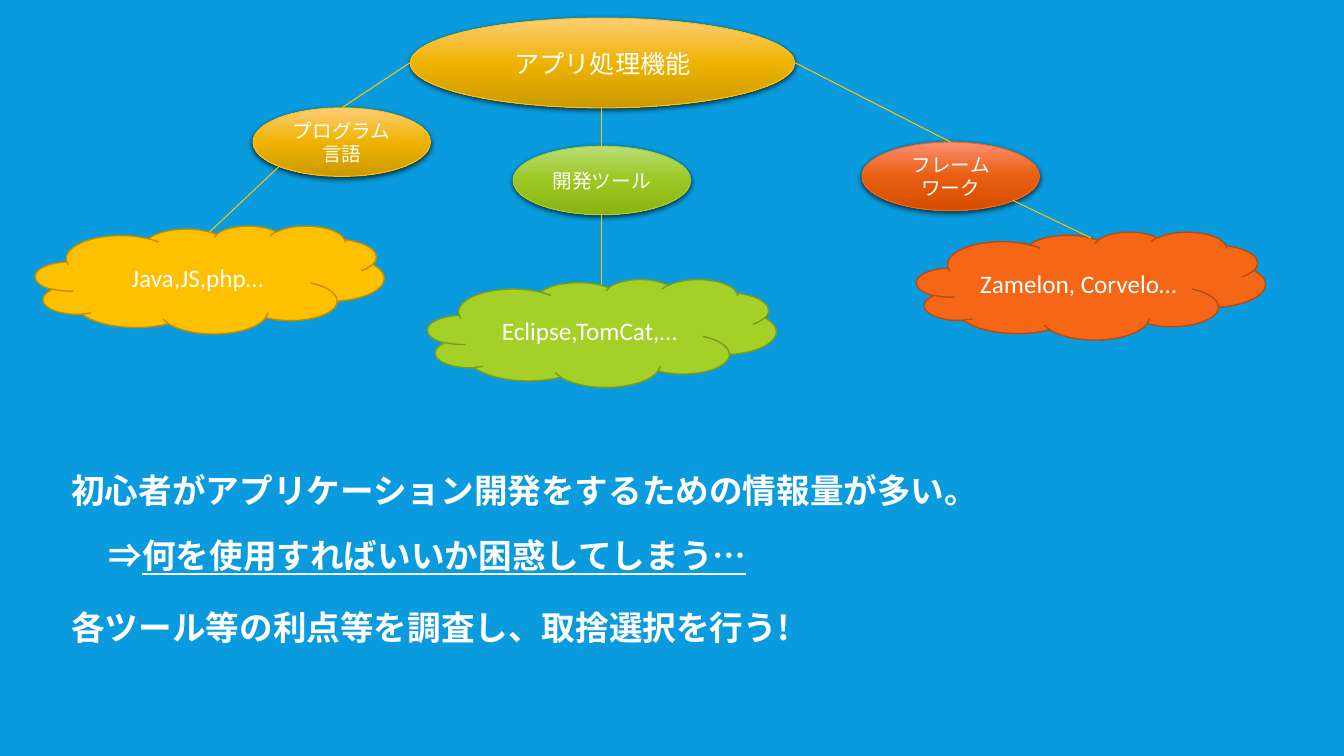
from lxml import etree
from pptx import Presentation
from pptx import util as u
from pptx.dml.color import RGBColor
from pptx.enum import lang, shapes, text
from pptx.oxml import ns

OVAL = shapes.MSO_SHAPE.OVAL
CLOUD = shapes.MSO_SHAPE.CLOUD
GOLD = ("FFCE77", "EEB300", "CC9A00")
GREEN = ("BADD75", "9CC621", "8BB413")
RED = ("FB9074", "E95E10", "D64D01")
LABEL = {"name": "Calibri", "language_id": lang.MSO_LANGUAGE_ID.JAPANESE}
NOTE = {"name": "Noto Sans CJK JP", "size": u.Pt(24), "bold": True,
        "language_id": lang.MSO_LANGUAGE_ID.JAPANESE}


def color(value):
    return RGBColor.from_string(value)


def add_tag(node, tag, **attrs):
    return etree.SubElement(node, ns.qn(tag), attrs)


def style(item, values):
    for key, value in values.items():
        setattr(item, key, value)


def write(para, words, form):
    run = para.add_run()
    run.text = words
    style(run.font, form)
    run.font.color.rgb = color("FFFFFF")
    return run


def add_node(slide, kind, box, words, size, edge, width):
    node = slide.shapes.add_shape(kind, *map(u.Inches, box))
    node.shadow.inherit = False
    node.line.color.rgb = color(edge)
    node.line.width = u.Pt(width)
    frame = node.text_frame
    style(frame, {"word_wrap": True, "vertical_anchor": text.MSO_ANCHOR.MIDDLE})
    para = frame.paragraphs[0]
    para.alignment = text.PP_ALIGN.CENTER
    write(para, words, {**LABEL, "size": u.Pt(size)})
    return node


def add_oval(slide, box, words, size, shades, edge):
    oval = add_node(slide, OVAL, box, words, size, edge, 0.75)
    oval.fill.gradient()
    oval.fill.gradient_angle = 270
    props = oval._element.spPr
    stops = props.find(".//" + ns.qn("a:gsLst"))
    stops.clear()
    for place, shade in zip((0, 50000, 100000), shades):
        stop = add_tag(stops, "a:gs", pos=str(place))
        add_tag(stop, "a:srgbClr", val=shade)
    glow = add_tag(props.find(ns.qn("a:effectLst")), "a:outerShdw",
                   blurRad=str(u.Pt(4)), dist=str(u.Pt(1.2)),
                   dir="5400000", rotWithShape="0")
    add_tag(add_tag(glow, "a:srgbClr", val="000000"), "a:alpha", val="68000")
    return oval


def add_cloud(slide, left, top, words, fill, edge):
    cloud = add_node(slide, CLOUD, (left, top, 3.46, 1.07), words, 18, edge, 1)
    cloud.fill.solid()
    cloud.fill.fore_color.rgb = color(fill)


def add_line(slide, start, end, child=None):
    line = slide.shapes.add_connector(
        shapes.MSO_CONNECTOR.STRAIGHT, *map(u.Inches, start + end))
    line.line.color.rgb = color("FFC000")
    line.line.width = u.Pt(0.75)
    add_tag(line._element.spPr, "a:effectLst")
    if child is not None:
        line.end_connect(child, 0)


def add_note(slide, left, top, width, parts):
    box = slide.shapes.add_textbox(*map(u.Inches, (left, top, width, 0.5)))
    style(box.text_frame, {"word_wrap": False,
                           "auto_size": text.MSO_AUTO_SIZE.SHAPE_TO_FIT_TEXT})
    for words, under in parts:
        run = write(box.text_frame.paragraphs[0], words, NOTE)
        if under:
            run.font.underline = True
        add_tag(run.font._element, "a:ea", typeface=NOTE["name"])


def main():
    deck = Presentation()
    style(deck, {"slide_width": u.Inches(13.33), "slide_height": u.Inches(7.5)})
    slide = deck.slides.add_slide(deck.slide_layouts[6])
    back = slide.background.fill
    back.solid()
    back.fore_color.rgb = color("099BDD")

    add_oval(slide, (4.07, 0.18, 3.81, 0.89), "アプリ処理機能", 18, GOLD, "FFC000")
    topics = [
        ((2.51, 1.07), "プログラム言語", GOLD, "FFC000", "BD8E00",
         (4.07, 0.62), (2.77, 1.65), (2.08, 2.3), (0.35, 2.24), "Java,JS,php…"),
        ((5.09, 1.45), "開発ツール", GREEN, "A5D028", "7A9A1E",
         (5.97, 1.07), (5.97, 2.13), (5.97, 2.83), (4.24, 2.77), "Eclipse,TomCat,…"),
        ((8.55, 1.41), "フレームワーク", RED, "F56617", "B54B11",
         (7.88, 0.62), (10.05, 1.99), (10.82, 2.36), (9.09, 2.3), "Zamelon, Corvelo…"),
    ]
    for spot, name, shades, fill, edge, root, start, end, place, tools in topics:
        oval = add_oval(slide, spot + (1.76, 0.68), name, 14, shades, fill)
        add_line(slide, root, (spot[0] + 0.88, spot[1]), oval)
        add_cloud(slide, *place, tools, fill, edge)
        add_line(slide, start, end)

    add_note(slide, 0.61, 4.61, 9.34,
             [("初心者がアプリケーション開発をするための情報量が多い。", False)])
    add_note(slide, 0.98, 5.26, 6.63,
             [("⇒", False), ("何を使用すればいいか困惑してしまう…", True)])
    add_note(slide, 0.61, 5.97, 7.48,
             [("各ツール等の利点等を調査し、取捨選択を行う!", False)])
    deck.save("out.pptx")


if __name__ == "__main__":
    main()
